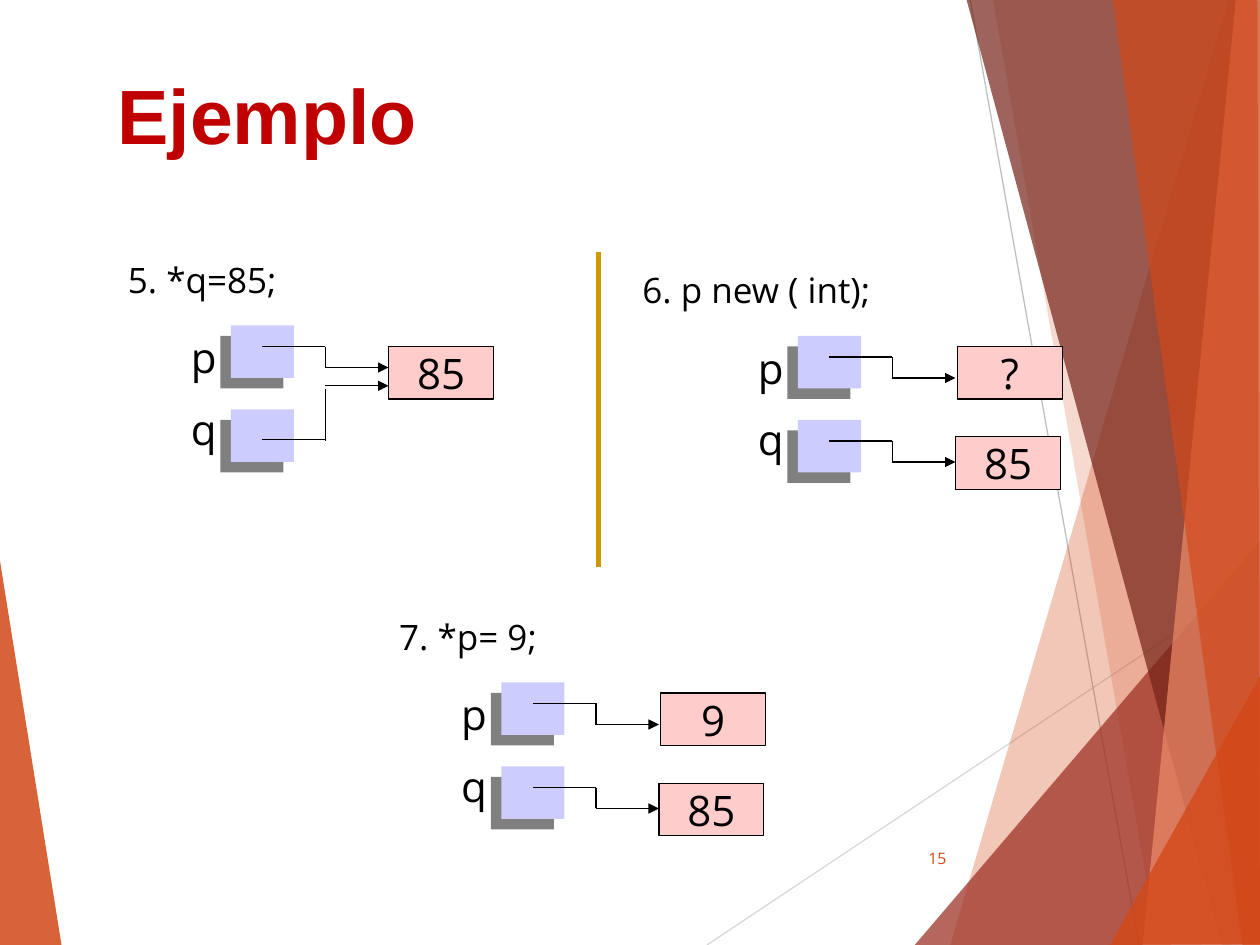
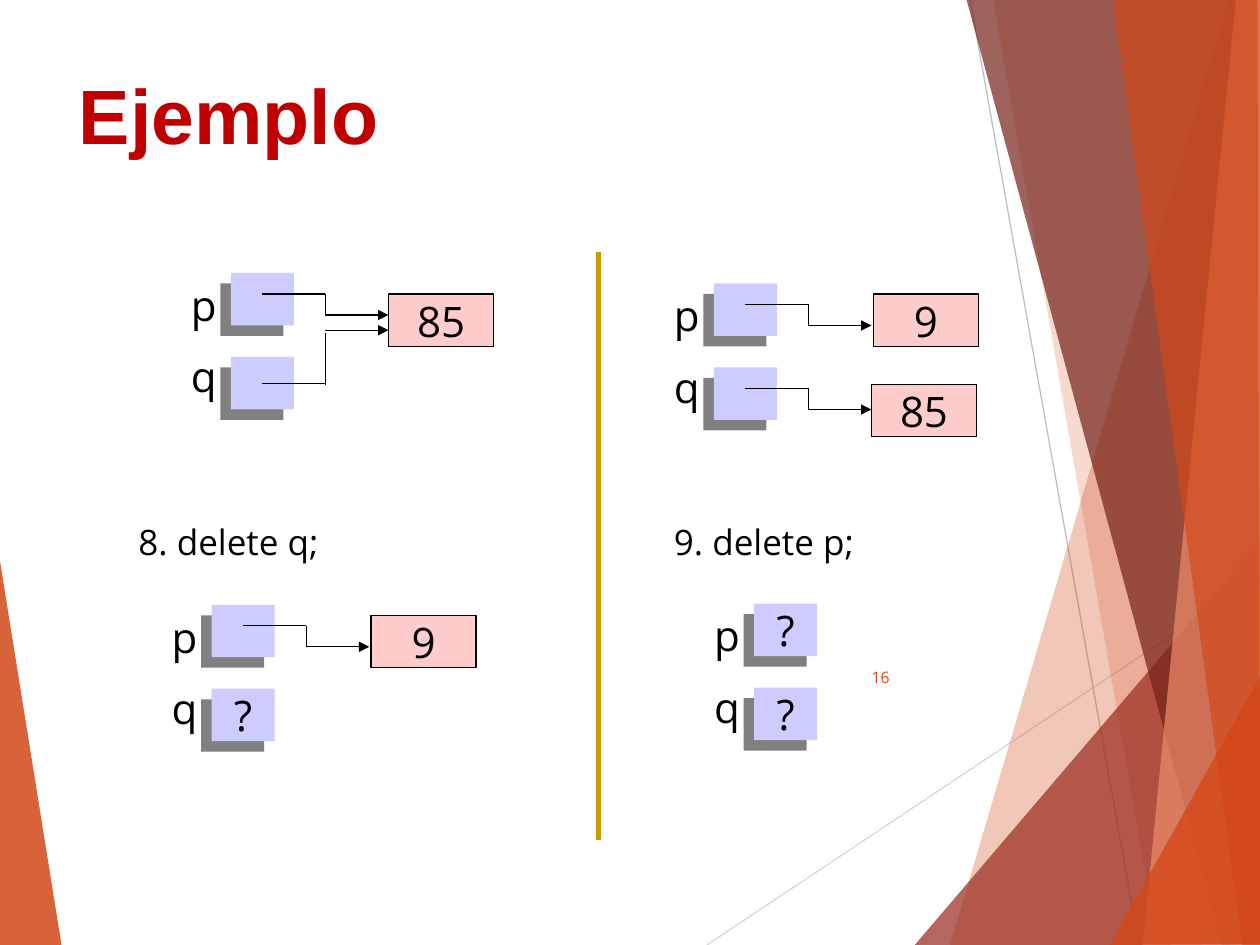
from dataclasses import dataclass

import lxml.etree
import pptx
import pptx.dml.color
import pptx.enum.shapes
import pptx.enum.text
import pptx.oxml.ns
import pptx.util

Pt = pptx.util.Pt
qn = pptx.oxml.ns.qn
ANCHOR = pptx.enum.text.MSO_ANCHOR
ALIGN = pptx.enum.text.PP_ALIGN


@dataclass(frozen=True)
class Theme:
    """Colours, fonts and sizes that the slides share."""
    ink: str = "000000"
    title: str = "C00000"
    rust: str = "D34817"
    brick: str = "9B2D1F"
    wine: str = "742217"
    peach: str = "EF8C6A"
    gold: str = "CC9900"
    cell: str = "CCCCFF"
    shade: str = "808080"
    box: str = "FFCCCC"
    pale: str = "D9D9D9"
    grey: str = "BFBFBF"
    head: str = "Arial"
    body: str = "Open Sans"
    big: float = 44
    mid: float = 24
    step: float = 20
    small: float = 9
    thin: float = 0.75
    thick: float = 3


T = Theme()

# Corner points, fill colour and opacity in percent
WEDGE = ([(-0.7, 316), (35.3, 540.7), (-0.7, 540)], T.rust, 85)
BANDS = [
    ([(702, 0), (543, 540), (721.4, 540.7), (720.7, 0.7)], T.rust, 30),
    ([(567.4, -0.7), (661.7, 540), (720.7, 540), (720.7, -0.7)], T.rust, 20),
    ([(522.7, 540), (720, 308.9), (720.7, 540)], T.brick, 72),
    ([(552.2, -0.7), (698.4, 540), (720.7, 539.3), (720.7, -0.7)], T.wine, 70),
    ([(706.3, -0.7), (653, 540), (720.7, 540), (720, -0.7)], T.peach, 70),
    ([(635.8, -0.7), (710, 540), (720, 540), (718.6, -0.7)], T.rust, 65),
    ([(634.3, 540), (720.7, 385.2), (720.7, 539.3)], T.rust, 80),
]

CELL_W, CELL_H = 36, 30
BOX_W, BOX_H = 60, 30
ROW = 48  # from the p cell to the q cell
BEND = 36  # level part of an arrow
DROP = 12  # upright part of an arrow


def rgb(code):
    """Turn a hex code into a colour."""
    return pptx.dml.color.RGBColor.from_string(code)


def add_run(para, text, size, color=T.ink, font=T.body, bold=False):
    """Add one styled run to a paragraph."""
    run = para.add_run()
    run.text = text
    run.font.size = Pt(size)
    run.font.name = font
    run.font.bold = bold
    run.font.color.rgb = rgb(color)


def add_text(slide, x, y, w, h, anchor=ANCHOR.TOP):
    """Add a wrapping text box and return its frame."""
    frame = slide.shapes.add_textbox(Pt(x), Pt(y), Pt(w), Pt(h)).text_frame
    frame.word_wrap = True
    frame.vertical_anchor = anchor
    return frame


def add_lines(slide, x, y, w, h, lines, size):
    """Add a growing text box with half a line above each paragraph."""
    frame = add_text(slide, x, y, w, h)
    frame.auto_size = pptx.enum.text.MSO_AUTO_SIZE.SHAPE_TO_FIT_TEXT
    for i, text in enumerate(lines):
        para = frame.add_paragraph() if i else frame.paragraphs[0]
        gap = lxml.etree.SubElement(para._p.get_or_add_pPr(), qn("a:spcBef"))
        lxml.etree.SubElement(gap, qn("a:spcPct"), val="50000")
        add_run(para, text, size)


def add_line(slide, x1, y1, x2, y2, color=T.ink, width=T.thin, arrow=False):
    """Add a straight line, with an arrowhead at its end if asked."""
    kind = pptx.enum.shapes.MSO_CONNECTOR.STRAIGHT
    line = slide.shapes.add_connector(kind, Pt(x1), Pt(y1), Pt(x2), Pt(y2))
    line.line.color.rgb = rgb(color)
    line.line.width = Pt(width)
    props = line.element.spPr
    if arrow:
        lxml.etree.SubElement(
            props.find(qn("a:ln")), qn("a:tailEnd"), type="triangle")
    lxml.etree.SubElement(props, qn("a:effectLst"))


def add_band(slide, points, color, alpha):
    """Add a see-through polygon."""
    first, *rest = [(Pt(x), Pt(y)) for x, y in points]
    form = slide.shapes.build_freeform(*first, scale=1.0)
    form.add_line_segments(rest, close=True)
    band = form.convert_to_shape()
    band.shadow.inherit = False
    band.line.fill.background()
    band.fill.solid()
    band.fill.fore_color.rgb = rgb(color)
    tint = band.element.spPr.find(qn("a:solidFill")).find(qn("a:srgbClr"))
    lxml.etree.SubElement(tint, qn("a:alpha"), val=str(alpha * 1000))


def add_rect(slide, x, y, w, h, fill, text):
    """Add a filled rectangle with centred text."""
    kind = pptx.enum.shapes.MSO_SHAPE.RECTANGLE
    rect = slide.shapes.add_shape(kind, Pt(x), Pt(y), Pt(w), Pt(h))
    rect.shadow.inherit = False
    rect.fill.solid()
    rect.fill.fore_color.rgb = rgb(fill)
    if text:
        frame = rect.text_frame
        frame.word_wrap = False
        frame.vertical_anchor = ANCHOR.MIDDLE
        frame.paragraphs[0].alignment = ALIGN.CENTER
        add_run(frame.paragraphs[0], text, T.mid)
    return rect


def add_cell(slide, x, y, text=""):
    """Add a pointer cell with a hard shadow at its lower left."""
    cell = add_rect(slide, x, y, CELL_W, CELL_H, T.cell, text)
    cell.line.fill.background()
    shade = lxml.etree.SubElement(
        cell.element.spPr.find(qn("a:effectLst")), qn("a:outerShdw"),
        blurRad="0", dist=str(Pt(8.5)), dir="8100000", algn="ctr",
        rotWithShape="0")
    lxml.etree.SubElement(shade, qn("a:srgbClr"), val=T.shade)


def add_box(slide, x, y, text):
    """Add an outlined box that holds a value."""
    box = add_rect(slide, x, y, BOX_W, BOX_H, T.box, text)
    box.line.color.rgb = rgb(T.ink)
    box.line.width = Pt(T.thin)


def add_hook(slide, x, y):
    """Add a stepped arrow that starts inside the cell at x, y."""
    left, top = x + CELL_W / 2, y + DROP
    mid, low = left + BEND, top + DROP
    add_line(slide, left, top, mid, top)
    add_line(slide, mid, top, mid, low)
    add_line(slide, mid, low, mid + BEND, low, arrow=True)


def add_pair(slide, x, y, p="", q=""):
    """Add the p and q cells with their names."""
    add_cell(slide, x, y, p)
    add_cell(slide, x, y + ROW, q)
    add_lines(slide, x - 30, y, 36, 79, ["p", "q"], T.mid)


def add_shared(slide, x, y, text, rise):
    """Add p and q that point to one box; q's arrow ends at y + rise."""
    add_pair(slide, x, y)
    add_box(slide, x + 90, y + 12, text)
    add_hook(slide, x, y)
    left, tip = x + CELL_W / 2, y + rise
    mid = left + BEND
    add_line(slide, left, tip + 30.5, mid, tip + 30.5)
    add_line(slide, mid, tip + 1.8, mid, tip + 31.5)
    add_line(slide, mid, tip, mid + BEND, tip, arrow=True)


def add_split(slide, x, y, p, q=None):
    """Add p and q with a box each; without a value, q is unknown."""
    add_pair(slide, x, y, q="" if q else "?")
    add_box(slide, x + 91, y + 6, p)
    add_hook(slide, x, y)
    if q:
        add_box(slide, x + 90, y + 57.6, q)
        add_hook(slide, x, y + ROW)


def add_step(slide, x, y, text, width=216):
    """Add the code line of one step."""
    add_lines(slide, x, y, width, 31, [text], T.step)


def add_base(deck, left, number, spot, foot):
    """Add a slide with its bands, title, page number and divider."""
    slide = deck.slides.add_slide(deck.slide_layouts[6])
    add_band(slide, *WEDGE)
    add_line(slide, 404, 540, 720.7, 329, T.pale)
    add_line(slide, 554.4, 0, 650.9, 540, T.grey)
    for band in BANDS:
        add_band(slide, *band)

    para = add_text(slide, left, 50.4, 204, 45.4, ANCHOR.BOTTOM).paragraphs[0]
    para.line_spacing = 0.9
    add_run(para, "Ejemplo", T.big, T.title, T.head, True)

    para = add_text(slide, *spot, 40.3, 28.8, ANCHOR.MIDDLE).paragraphs[0]
    para.alignment = ALIGN.RIGHT
    add_run(para, number, T.small, T.rust)

    add_line(slide, 342, 144, 342, foot, T.gold, T.thick)
    return slide


def draw_assign(deck):
    """Draw steps 5 to 7."""
    slide = add_base(deck, 60, "15", (507.6, 476), 324)
    add_step(slide, 66, 144, "5. *q=85;")
    add_shared(slide, 132, 186, "85", 34.5)
    add_step(slide, 360, 150, "6. p new ( int);", 270)
    add_split(slide, 456, 192, "?", "85")
    add_step(slide, 221, 348, "7. *p= 9;")
    add_split(slide, 286.5, 390, "9", "85")


def draw_delete(deck):
    """Draw steps 8 and 9."""
    slide = add_base(deck, 38, "16", (475.2, 372.4), 480)
    add_shared(slide, 132, 156, "85", 32.7)
    add_split(slide, 408, 162, "9", "85")
    add_step(slide, 72, 294, "8. delete q;")
    add_split(slide, 121, 345.6, "9")
    add_step(slide, 378, 294, "9. delete p;")
    add_pair(slide, 431, 345, "?", "?")


def main():
    """Build and save the deck."""
    deck = pptx.Presentation()
    deck.slide_width, deck.slide_height = Pt(720), Pt(540)
    draw_assign(deck)
    draw_delete(deck)
    deck.save("out.pptx")


main()
